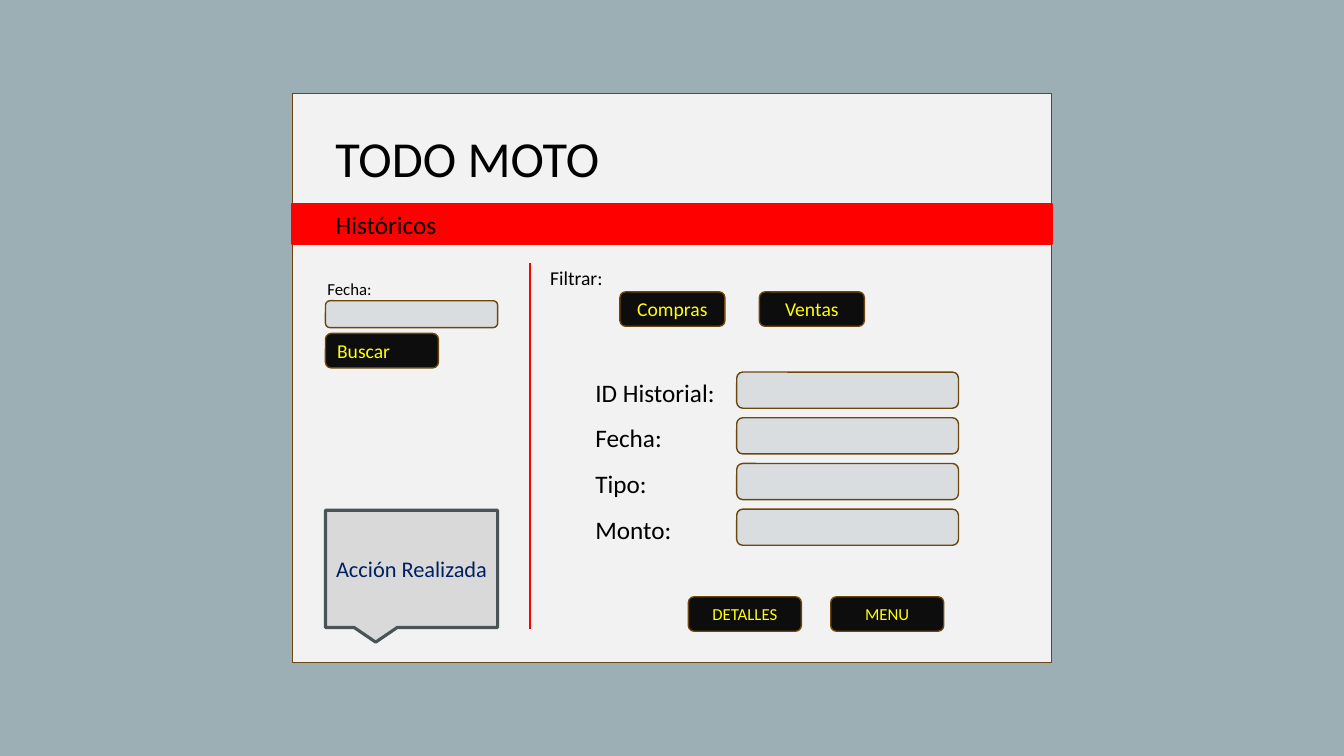
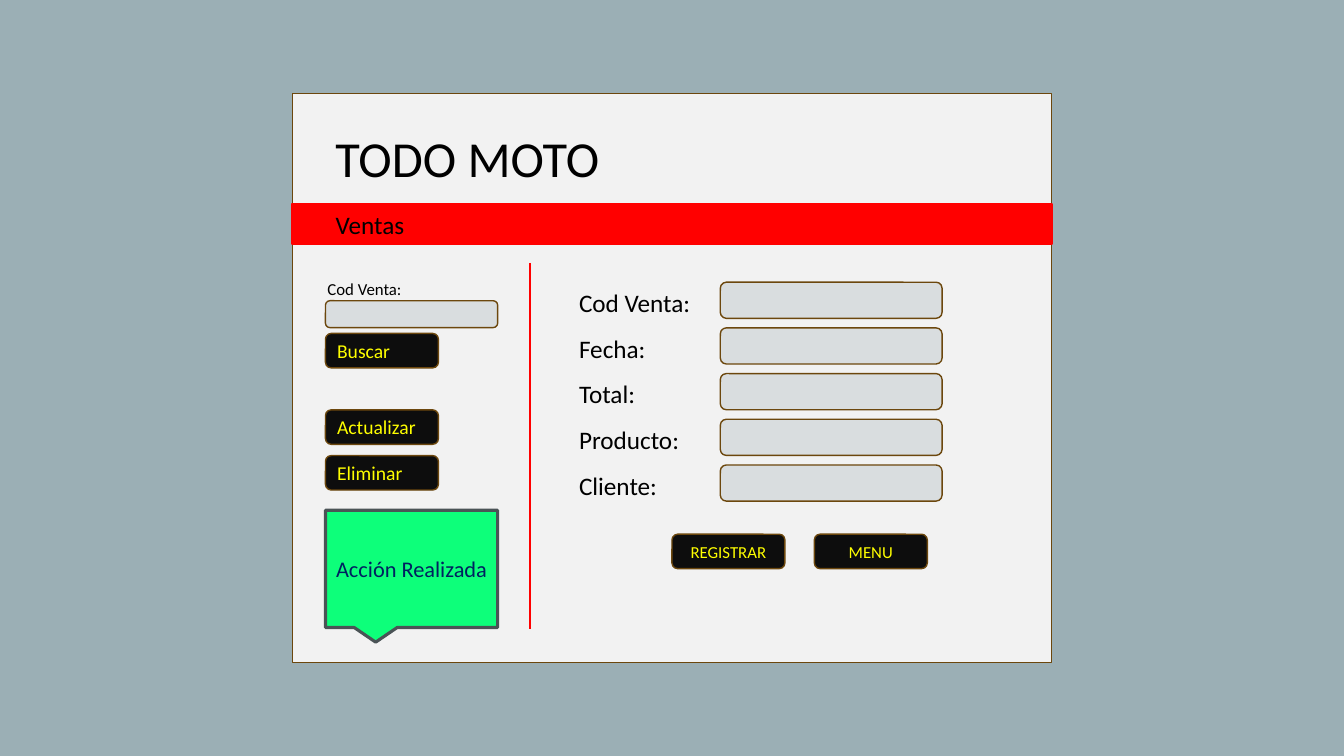
from pptx import Presentation
from pptx.dml.color import RGBColor
from pptx.enum.shapes import MSO_CONNECTOR, MSO_SHAPE
from pptx.enum.text import MSO_ANCHOR, PP_ALIGN
from pptx.oxml.xmlchemy import OxmlElement
from pptx.util import Inches, Pt

RECT, ROUNDED = MSO_SHAPE.RECTANGLE, MSO_SHAPE.ROUNDED_RECTANGLE
CALLOUT, STRAIGHT = MSO_SHAPE.RECTANGULAR_CALLOUT, MSO_CONNECTOR.STRAIGHT
TOP, MIDDLE = MSO_ANCHOR.TOP, MSO_ANCHOR.MIDDLE
LEFT, CENTER = PP_ALIGN.LEFT, PP_ALIGN.CENTER

FONT = "Calibri"
COLORS = {
    "background": "9BAFB5", "panel": "F2F2F2", "brown": "6C470D",
    "red": "FF0000", "black": "000000", "field": "D9DDDF",
    "button": "0D0D0D", "yellow": "FFFF00", "navy": "002060",
    "slate": "4A5356", "gray": "D9D9D9", "green": "0DFF7A",
}

# Slide grid
COLS, ROWS = 160, 90
PANEL_X, PANEL_Y, PANEL_W, PANEL_H = 34.8, 11.15, 90.4, 67.7
BAND_Y, BAND_H = 24.25, 4.8
SIDE_X, SIDE_W = 38.75, 20.5
DIVIDER_X, DIVIDER_TOP, DIVIDER_END = 63.1, 31.3, 74.9
PITCH = 5.44
LABEL_W, LABEL_H = 18, 4.8
BUTTON_W, BUTTON_H = 13.45, 4.1
FILTER_W, FILTER_STEP = 12.5, 16.6
ACTION_INDENT, ACTION_STEP = 12.25, 16.95


def rgb(name):
    return RGBColor.from_string(COLORS[name])


class Screen:
    """Builds application screens, one per slide, on a shared grid."""

    def __init__(self):
        self.prs = Presentation()
        self.prs.slide_width, self.prs.slide_height = Inches(13.33), Inches(7.5)
        self.slide = None

    def x(self, cols):
        return round(self.prs.slide_width * cols / COLS)

    def y(self, rows):
        return round(self.prs.slide_height * rows / ROWS)

    def box(self, x, y, w, h):
        return self.x(x), self.y(y), self.x(w), self.y(h)

    def set_text(self, sp, text, size, color, align=LEFT, anchor=TOP):
        tf = sp.text_frame
        tf.word_wrap = True
        tf.vertical_anchor = anchor
        tf.text = text
        p = tf.paragraphs[0]
        p.alignment = align
        font = p.runs[0].font
        font.name, font.size = FONT, Pt(size)
        font.color.rgb = rgb(color)

    def shape(self, kind, box, fill, line, width=1):
        sp = self.slide.shapes.add_shape(kind, *self.box(*box))
        sp.shadow.inherit = False
        sp.fill.solid()
        sp.fill.fore_color.rgb = rgb(fill)
        sp.line.color.rgb = rgb(line)
        sp.line.width = Pt(width)
        return sp

    def label(self, text, x, y, w=LABEL_W, h=LABEL_H, size=18):
        sp = self.slide.shapes.add_textbox(*self.box(x, y, w, h))
        self.set_text(sp, text, size, "black")

    def field(self, x, y, w, h):
        self.shape(ROUNDED, (x, y, w, h), "field", "brown")

    def button(self, text, x, y, w=BUTTON_W, size=14, align=LEFT):
        sp = self.shape(ROUNDED, (x, y, w, BUTTON_H), "button", "brown")
        self.set_text(sp, text, size, "yellow", align, MIDDLE)

    def title(self, text):
        """Place the title in front of the band."""
        sp = self.slide.shapes.title
        sp.left, sp.top, sp.width, sp.height = self.box(
            SIDE_X, BAND_Y + 0.1, 41.3, BAND_H)
        self.set_text(sp, text, 18, "black")
        self.slide.shapes._spTree.append(sp._element)

    def divider(self):
        x = self.x(DIVIDER_X)
        line = self.slide.shapes.add_connector(
            STRAIGHT, x, self.y(DIVIDER_TOP), x, self.y(DIVIDER_END))
        line.line.color.rgb = rgb("red")
        line.line.width = Pt(1.5)
        line._element.spPr.append(OxmlElement("a:effectLst"))

    def start(self, title):
        """Add a slide with the panel, name, title band and divider."""
        self.slide = self.prs.slides.add_slide(self.prs.slide_layouts[5])
        fill = self.slide.background.fill
        fill.solid()
        fill.fore_color.rgb = rgb("background")
        self.shape(RECT, (PANEL_X, PANEL_Y, PANEL_W, PANEL_H), "panel", "brown")
        self.shape(RECT, (PANEL_X, BAND_Y, PANEL_W, BAND_H), "red", "red", 1.5)
        self.label("TODO MOTO", SIDE_X, 14.5, 41.3, 8.5, 36)
        self.title(title)
        self.divider()

    def search(self, caption):
        self.label(caption, 37.8, 32.6, h=3.6, size=12)
        self.field(SIDE_X, 35.8, SIDE_W, 3.2)
        self.button("Buscar", SIDE_X, 39.7)

    def side_buttons(self, texts, y):
        for i, text in enumerate(texts):
            self.button(text, SIDE_X, y + i * PITCH)

    def filters(self, texts):
        self.label("Filtrar:", 64.3, 31.1, h=4.1, size=14)
        for i, text in enumerate(texts):
            self.button(text, 73.8 + i * FILTER_STEP, 34.75, FILTER_W, align=CENTER)

    def form(self, names, x, y):
        for i, name in enumerate(names):
            row = y + i * PITCH
            self.label(name, x, row)
            self.field(x + LABEL_W, row, 26.4, 4.3)

    def actions(self, texts, form_x, y):
        for i, text in enumerate(texts):
            x = form_x + ACTION_INDENT + i * ACTION_STEP
            self.button(text, x, y, size=12, align=CENTER)

    def message(self, text, fill):
        sp = self.shape(CALLOUT, (SIDE_X, 60.75, SIDE_W, 13.95), fill, "slate", 2.25)
        self.set_text(sp, text, 16, "navy", CENTER, MIDDLE)


def history(screen):
    form_x = 69.7
    screen.start("Históricos")
    screen.search("Fecha:")
    screen.filters(["Compras", "Ventas"])
    screen.form(["ID Historial:", "Fecha:", "Tipo:", "Monto:"], form_x, 44.3)
    screen.actions(["DETALLES", "MENU"], form_x, 71.05)
    screen.message("Acción Realizada", "gray")


def sales(screen):
    form_x = 67.75
    screen.start("Ventas")
    screen.search("Cod Venta:")
    screen.side_buttons(["Actualizar", "Eliminar"], 48.8)
    screen.form(["Cod Venta:", "Fecha:", "Total:", "Producto:", "Cliente:"],
                form_x, 33.6)
    screen.actions(["REGISTRAR", "MENU"], form_x, 63.6)
    screen.message("Acción Realizada", "green")


def main():
    screen = Screen()
    history(screen)
    sales(screen)
    screen.prs.save("out.pptx")


if __name__ == "__main__":
    main()
